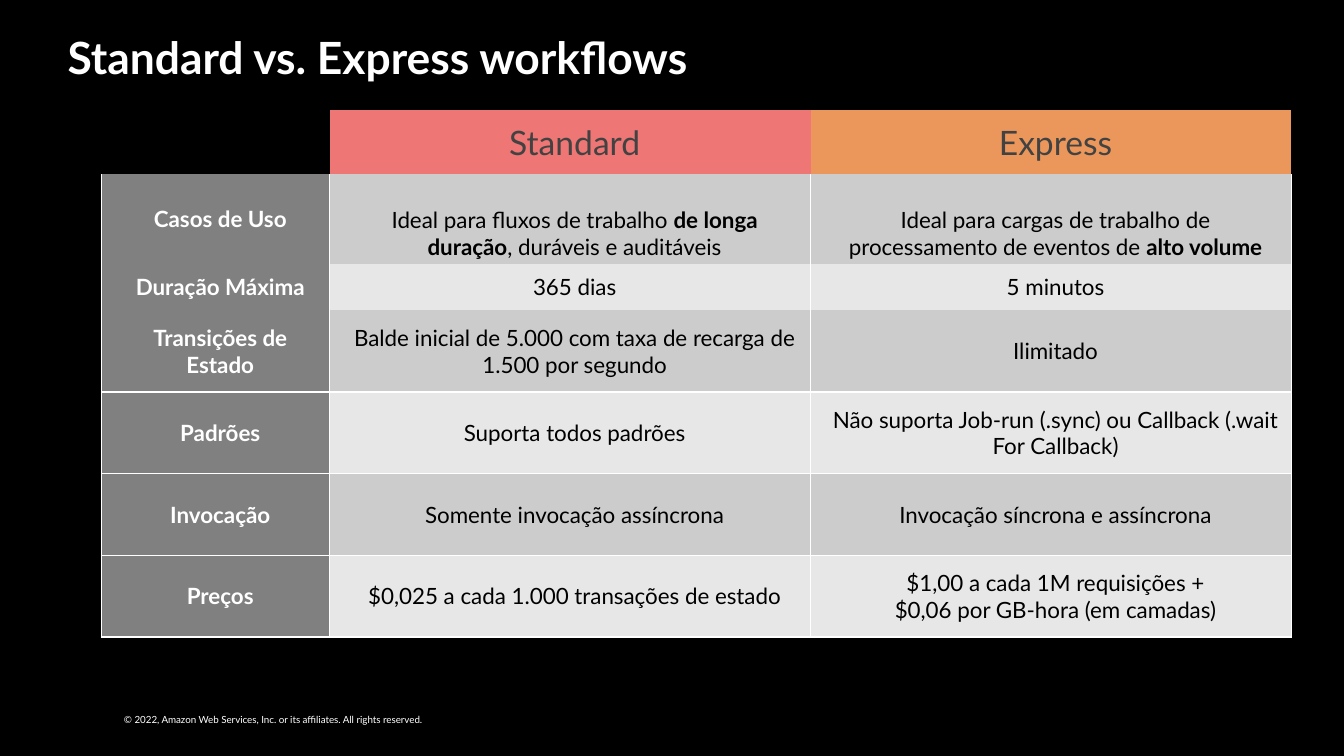
"""Build a slide with a table of Standard and Express workflows."""
from lxml import etree
from pptx import Presentation
from pptx.dml.color import RGBColor
from pptx.enum import text as t
from pptx.oxml import ns
from pptx.util import Inches, Pt

BLACK = RGBColor(0x00, 0x00, 0x00)
WHITE = RGBColor(0xFF, 0xFF, 0xFF)
INK = RGBColor(0x42, 0x42, 0x42)
CORAL = RGBColor(0xEE, 0x76, 0x74)
AMBER = RGBColor(0xEB, 0x97, 0x5C)
GRAY = RGBColor(0x80, 0x80, 0x80)
DARK = RGBColor(0xCC, 0xCC, 0xCC)
LIGHT = RGBColor(0xE7, 0xE7, 0xE7)

ROWS = [
    ("", "Standard", "Express"),
    ("Casos de Uso",
     "Ideal para fluxos de trabalho |de longa duração|, duráveis e auditáveis",
     "Ideal para cargas de trabalho de processamento de eventos de |alto volume"),
    ("Duração Máxima", "365 dias", "5 minutos"),
    ("Transições de Estado",
     "Balde inicial de 5.000 com taxa de recarga de 1.500 por segundo",
     "Ilimitado"),
    ("Padrões", "Suporta todos padrões",
     "Não suporta Job-run (.sync) ou Callback (.wait For Callback)"),
    ("Invocação", "Somente invocação assíncrona",
     "Invocação síncrona e assíncrona"),
    ("Preços", "$0,025 a cada 1.000 transações de estado",
     "$1,00 a cada 1M requisições +\n$0,06 por GB-hora (em camadas)"),
]
WIDTHS = [2.26, 4.77, 4.77]
HEIGHTS = [0.64, 0.89, 0.46] + [0.81] * 4


def write(para, words, size, color, bold=False):
    """Add runs to a paragraph; each bar switches bold."""
    for i, part in enumerate(words.split("|")):
        run = para.add_run()
        run.text = part
        look = {"name": "Lato", "size": Pt(size), "bold": bold or i % 2 == 1}
        for key, val in look.items():
            setattr(run.font, key, val)
        run.font.color.rgb = color


def edge(cell, side, shown):
    """Draw one side of a cell in white, or leave it open."""
    line = etree.SubElement(cell._tc.get_or_add_tcPr(), ns.qn("a:ln" + side),
                            w=str(Pt(1)))
    if shown:
        fill = etree.SubElement(line, ns.qn("a:solidFill"))
        etree.SubElement(fill, ns.qn("a:srgbClr"), val=str(WHITE))
    else:
        etree.SubElement(line, ns.qn("a:noFill"))


deck = Presentation()
deck.slide_width, deck.slide_height = Inches(13.33), Inches(7.5)
slide = deck.slides.add_slide(deck.slide_layouts[6])
slide.background.fill.solid()
slide.background.fill.fore_color.rgb = BLACK

for words, place, pads, size, bold in [
    ("© 2022, Amazon Web Services, Inc. or its affiliates. All rights reserved.",
     (1.23, 7.08, 4.33, 0.12), (0, 0), 7, False),
    ("Standard vs. Express workflows",
     (0.5, 0.17, 12.31, 0.8), (0.17, 0.13), 31.7, True),
]:
    frame = slide.shapes.add_textbox(*map(Inches, place)).text_frame
    frame.word_wrap = True
    frame.margin_left = frame.margin_right = Inches(pads[0])
    frame.margin_top = frame.margin_bottom = Inches(pads[1])
    write(frame.paragraphs[0], words, size, WHITE, bold)

table = slide.shapes.add_table(
    len(ROWS), len(WIDTHS), Inches(1.01), Inches(1.09),
    Inches(sum(WIDTHS)), Inches(sum(HEIGHTS))).table
table.first_row = table.horz_banding = False
for col, width in zip(table.columns, WIDTHS):
    col.width = Inches(width)
for row, height in zip(table.rows, HEIGHTS):
    row.height = Inches(height)

for r, row in enumerate(ROWS):
    for c, words in enumerate(row):
        cell = table.cell(r, c)
        for key, val in {"left": 0.17, "right": 0.08,
                         "top": 0.04, "bottom": 0.04}.items():
            setattr(cell, "margin_" + key, Inches(val))
        low = r == 1 and c > 0
        cell.vertical_anchor = t.MSO_ANCHOR.BOTTOM if low else t.MSO_ANCHOR.MIDDLE
        for side, shown in {"L": r > 0, "R": r > 0, "T": r > 3, "B": r > 2}.items():
            edge(cell, side, shown)
        if not words:
            cell.fill.background()
            continue
        if r == 0:
            fill, color, size = (CORAL, AMBER)[c - 1], INK, 24
        elif c == 0:
            fill, color, size = GRAY, WHITE, 16
        else:
            fill, color, size = (DARK if r % 2 else LIGHT), BLACK, 16
        cell.fill.solid()
        cell.fill.fore_color.rgb = fill
        for i, line in enumerate(words.split("\n")):
            frame = cell.text_frame
            para = frame.add_paragraph() if i else frame.paragraphs[0]
            para.alignment = t.PP_ALIGN.CENTER
            write(para, line, size, color, c == 0)

deck.save("out.pptx")
